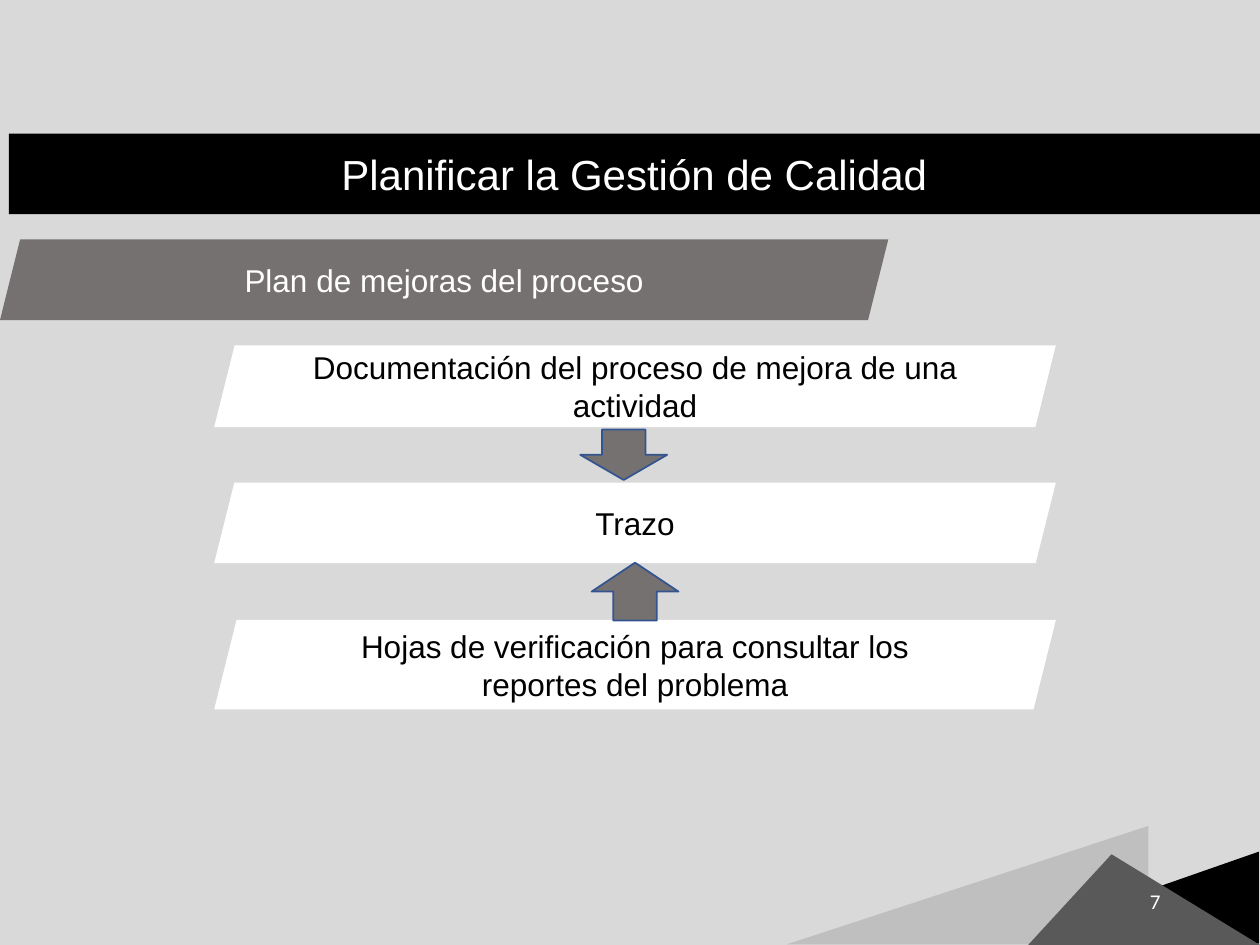
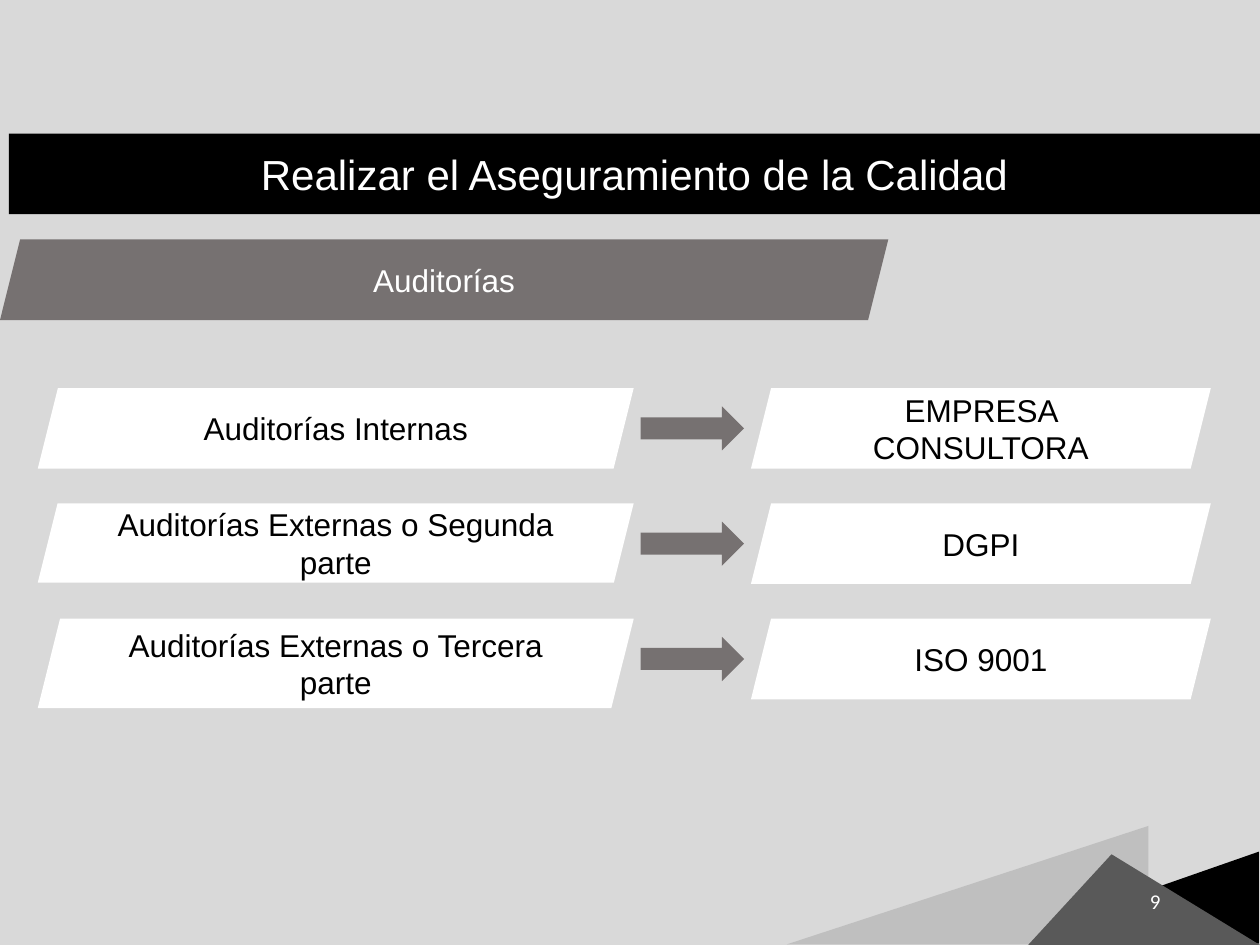
"""Build two quality management slides with slanted bands and arrows."""
from lxml.etree import SubElement
from pptx import Presentation
from pptx.dml.color import RGBColor
from pptx.enum.shapes import MSO_SHAPE
from pptx.enum.text import MSO_ANCHOR, MSO_AUTO_SIZE, PP_ALIGN
from pptx.oxml.ns import qn
from pptx.util import Inches, Pt

BLACK = RGBColor(0x00, 0x00, 0x00)
WHITE = RGBColor(0xFF, 0xFF, 0xFF)
PAPER = RGBColor(0xD9, 0xD9, 0xD9)
GRAY = RGBColor(0x76, 0x71, 0x71)
LIGHT = RGBColor(0xBF, 0xBF, 0xBF)
DARK = RGBColor(0x59, 0x59, 0x59)
BLUE = RGBColor(0x32, 0x54, 0x91)

PLAN = {
    "title": "Planificar la Gestión de Calidad",
    "topic": "Plan de mejoras del proceso",
    "page": "7",
    "steps": [
        ("Documentación del proceso de mejora de una actividad", 0.65),
        ("Trazo", 0.64),
        ("Hojas de verificación para consultar los reportes del problema", 0.71),
    ],
    "arrows": [(4.95, 0.4, 90), (5.04, 0.46, 270)],
}
AUDIT = {
    "title": "Realizar el Aseguramiento de la Calidad",
    "topic": "Auditorías",
    "page": "9",
    "pairs": [
        ("Auditorías Internas", 0.64, "EMPRESA CONSULTORA"),
        ("Auditorías Externas o Segunda parte", 0.63, "DGPI"),
        ("Auditorías Externas o Tercera parte", 0.71, "ISO 9001"),
    ],
}
PEAKS = [
    ((7.9, 6.76, 2.09, 0.73), 0, 1, BLACK),
    ((7.21, 5.59, 0.94, 2.87), 270, 0, LIGHT),
    ((8.16, 6.78, 1.84, 0.72), 0, 0.36, DARK),
]
BAND = 0.64
STEP_X, STEP_Y, STEP_W, STEP_GAP = 1.7, 2.74, 6.68, 1.09
PAIR_Y, PAIR_GAP = 3.08, 0.915
LEFT_X, LEFT_W = 0.3, 4.73
RIGHT_X, RIGHT_W = 5.96, 3.65
ARROW_W, ARROW_H = 0.82, 0.35


def paint(shape, fill, line=None):
    shape.shadow.inherit = False
    shape.fill.solid()
    shape.fill.fore_color.rgb = fill
    if line is None:
        shape.line.fill.background()
    else:
        shape.line.color.rgb = line
        shape.line.width = Pt(1)


def draw(shapes, kind, box, fill, line=None, turn=0):
    shape = shapes.add_shape(kind, *map(Inches, box))
    paint(shape, fill, line)
    shape.rotation = turn
    return shape


def write(shape, text, size, color, align=PP_ALIGN.CENTER, face="Arial"):
    frame = shape.text_frame
    frame.word_wrap = True
    frame.auto_size = MSO_AUTO_SIZE.NONE
    frame.vertical_anchor = MSO_ANCHOR.MIDDLE
    line = frame.paragraphs[0]
    line.alignment = align
    run = line.add_run()
    run.text = text
    run.font.name = face
    run.font.size = Pt(size)
    run.font.color.rgb = color


def band(slide, text, box, fill=WHITE, color=BLACK):
    shape = draw(slide.shapes, MSO_SHAPE.PARALLELOGRAM, box, fill)
    write(shape, text, 18, color)


def head(slide, text):
    title = slide.shapes.title
    title.left, title.top, title.width, title.height = map(
        Inches, (0.07, 1.06, 9.93, BAND))
    form = SubElement(title._element.spPr, qn("a:prstGeom"), prst="parallelogram")
    SubElement(form, qn("a:avLst"))
    title.fill.solid()
    title.fill.fore_color.rgb = BLACK
    write(title, text, 24, WHITE)


def start(deck, data):
    slide = deck.slides.add_slide(deck.slide_layouts[5])
    head(slide, data["title"])
    group = slide.shapes.add_group_shape()
    for box, turn, tip, fill in PEAKS:
        peak = draw(group.shapes, MSO_SHAPE.ISOSCELES_TRIANGLE, box, fill, turn=turn)
        peak.adjustments[0] = tip
    page = slide.shapes.add_textbox(*map(Inches, (7.06, 6.95, 2.25, 0.4)))
    write(page, data["page"], 12, WHITE, PP_ALIGN.RIGHT, "Calibri")
    band(slide, data["topic"], (0, 1.9, 7.05, BAND), GRAY, WHITE)
    return slide


def plan(deck):
    slide = start(deck, PLAN)
    tops = [STEP_Y + row * STEP_GAP for row in range(len(PLAN["steps"]))]
    for top, (text, high) in zip(tops, PLAN["steps"]):
        band(slide, text, (STEP_X, top, STEP_W, high))
    for row, (mid, size, turn) in enumerate(PLAN["arrows"]):
        end = tops[row] + PLAN["steps"][row][1]
        level = (end + tops[row + 1]) / 2
        box = (mid - size / 2, level - 0.345, size, 0.69)
        draw(slide.shapes, MSO_SHAPE.RIGHT_ARROW, box, GRAY, BLUE, turn)


def audit(deck):
    slide = start(deck, AUDIT)
    gap_mid = (LEFT_X + LEFT_W + RIGHT_X) / 2
    for row, (name, high, agent) in enumerate(AUDIT["pairs"]):
        top = PAIR_Y + row * PAIR_GAP
        band(slide, name, (LEFT_X, top, LEFT_W, high))
        band(slide, agent, (RIGHT_X, top, RIGHT_W, BAND))
        box = (gap_mid - ARROW_W / 2, top + (BAND - ARROW_H) / 2, ARROW_W, ARROW_H)
        draw(slide.shapes, MSO_SHAPE.RIGHT_ARROW, box, GRAY)


def main():
    deck = Presentation()
    deck.slide_width, deck.slide_height = Inches(10), Inches(7.5)
    back = deck.slide_master.background.fill
    back.solid()
    back.fore_color.rgb = PAPER
    plan(deck)
    audit(deck)
    deck.save("out.pptx")


if __name__ == "__main__":
    main()
